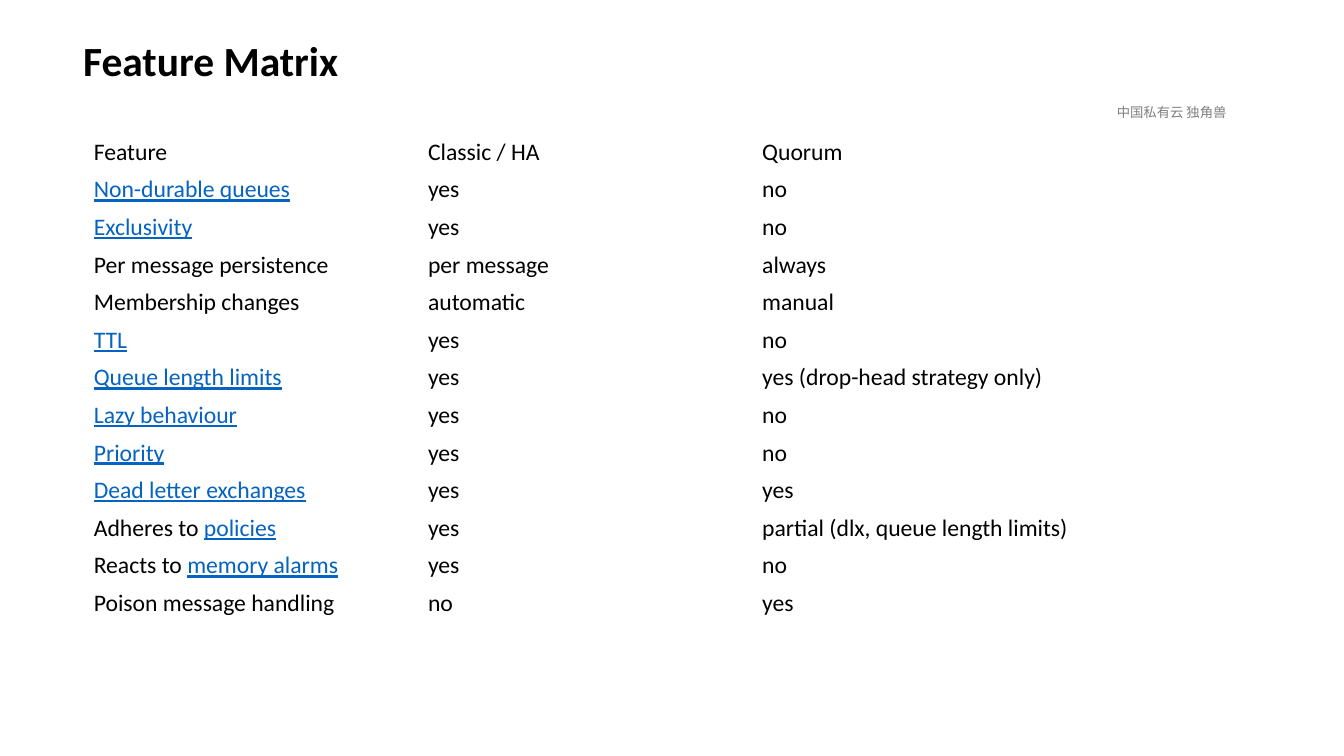
from pptx import Presentation
from pptx import util as u
from pptx.dml.color import RGBColor
from pptx.enum import text
from pptx.oxml.ns import qn
from lxml import etree

HEADING = "Feature Matrix"
TAGLINE = "中国私有云 独角兽"
FEATURES = [
    (("Feature", ""), "Classic / HA", "Quorum"),
    (("", "Non-durable queues"), "yes", "no"),
    (("", "Exclusivity"), "yes", "no"),
    (("Per message persistence", ""), "per message", "always"),
    (("Membership changes", ""), "automatic", "manual"),
    (("", "TTL"), "yes", "no"),
    (("", "Queue length limits"), "yes", "yes (drop-head strategy only)"),
    (("", "Lazy behaviour"), "yes", "no"),
    (("", "Priority"), "yes", "no"),
    (("", "Dead letter exchanges"), "yes", "yes"),
    (("Adheres to ", "policies"), "yes", "partial (dlx, queue length limits)"),
    (("Reacts to ", "memory alarms"), "yes", "no"),
    (("Poison message handling", ""), "no", "yes"),
]
BLACK, GREY, LINK_BLUE = "000000", "808080", "0563C1"
LATIN, CJK = "Calibri", "Noto Sans CJK SC"


def style(font, size, colour, name=LATIN, bold=False):
    font.size, font.name, font.bold = u.Pt(size), name, bold
    font.color.rgb = RGBColor.from_string(colour)


def inches(*lengths):
    return [u.Inches(length) for length in lengths]


def add_heading(slide):
    heading = slide.shapes.title
    heading.left, heading.top, heading.width, heading.height = inches(0.68, 0.33, 10.87, 0.68)
    frame = heading.text_frame
    frame.text = HEADING
    frame.auto_size = text.MSO_AUTO_SIZE.NONE
    frame.vertical_anchor = text.MSO_ANCHOR.TOP
    line = frame.paragraphs[0]
    line.alignment = text.PP_ALIGN.LEFT
    line.line_spacing = 0.9
    style(line.font, 28, BLACK, bold=True)


def add_tagline(slide):
    frame = slide.shapes.add_textbox(*inches(10.42, 0.93, 1.87, 0.25)).text_frame
    frame.word_wrap = True
    frame.auto_size = text.MSO_AUTO_SIZE.SHAPE_TO_FIT_TEXT
    frame.margin_left = frame.margin_right = frame.margin_top = frame.margin_bottom = u.Inches(0.05)
    line = frame.paragraphs[0]
    line.alignment = text.PP_ALIGN.JUSTIFY
    words = line.add_run()
    words.text = TAGLINE
    style(words.font, 9, GREY, CJK)
    etree.SubElement(words.font._element, qn("a:ea"), typeface=CJK)


def fill_cell(cell, plain, linked=""):
    cell.fill.background()
    cell.vertical_anchor = text.MSO_ANCHOR.MIDDLE
    cell.margin_left = cell.margin_right = u.Inches(0.09)
    cell.margin_top = cell.margin_bottom = u.Inches(0.04)
    line = cell.text_frame.paragraphs[0]
    for words, colour in ((plain, BLACK), (linked, LINK_BLUE)):
        if words:
            part = line.add_run()
            part.text = words
            style(part.font, 16, colour)
            part.font.underline = colour == LINK_BLUE


def add_matrix(slide):
    matrix = slide.shapes.add_table(len(FEATURES), 3, *inches(0.79, 1.25, 9.4, 4.59)).table
    matrix.first_row = matrix.horz_banding = False
    for row, (feature, classic, quorum) in enumerate(FEATURES):
        fill_cell(matrix.cell(row, 0), *feature)
        fill_cell(matrix.cell(row, 1), classic)
        fill_cell(matrix.cell(row, 2), quorum)


def main():
    deck = Presentation()
    deck.slide_width, deck.slide_height = inches(12.6, 7.09)
    slide = deck.slides.add_slide(deck.slide_layouts[5])
    add_tagline(slide)
    add_heading(slide)
    add_matrix(slide)
    deck.save("out.pptx")


if __name__ == "__main__":
    main()
